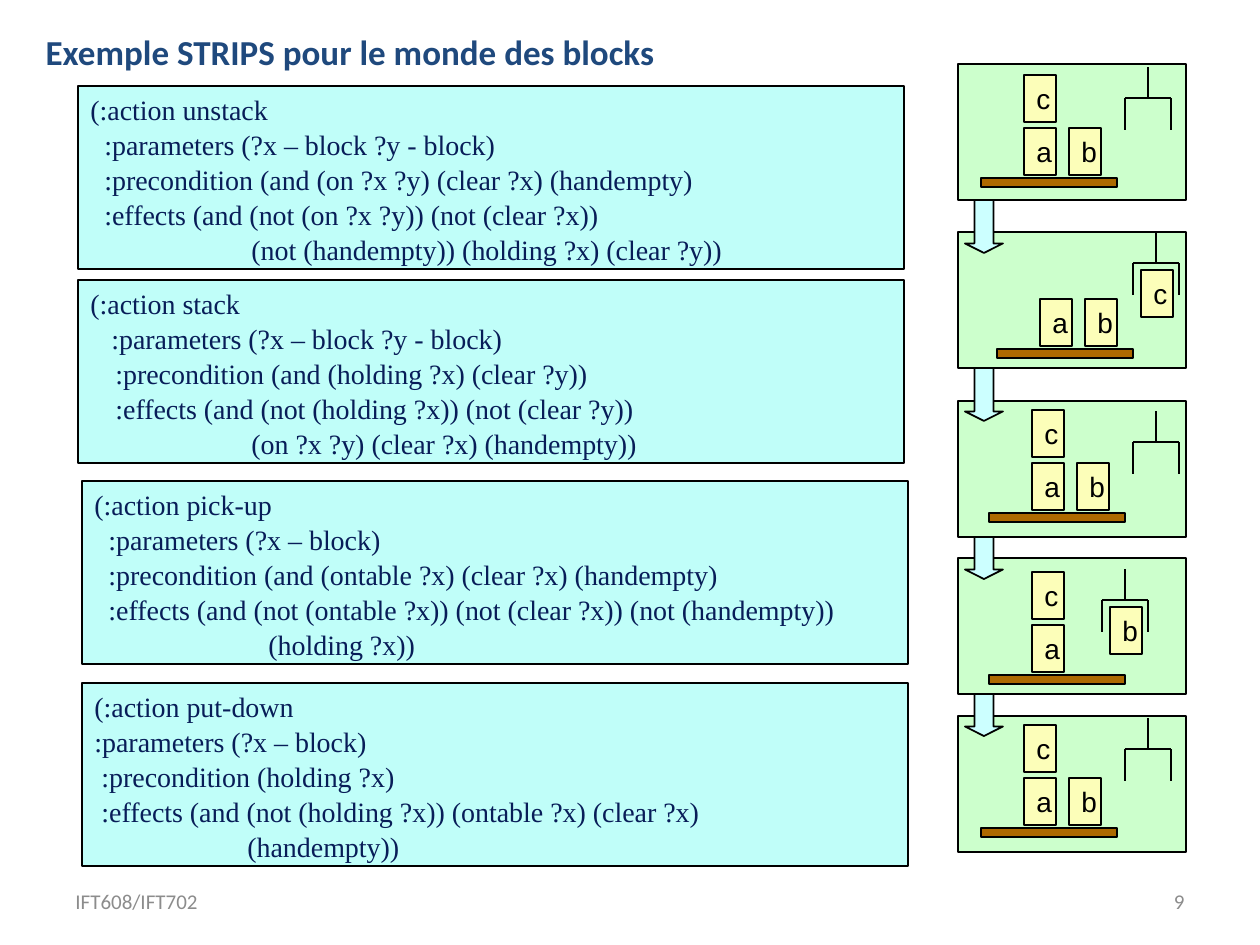
from lxml.etree import SubElement
from pptx import Presentation
from pptx.dml.color import RGBColor
from pptx.enum.shapes import MSO_CONNECTOR as Connector, MSO_SHAPE as Shape
from pptx.enum.text import MSO_ANCHOR as Anchor, PP_ALIGN as Align
from pptx.oxml.ns import qn
from pptx.util import Emu, Pt

PX = 914400 / 126

BLACK = RGBColor(0x00, 0x00, 0x00)
NAVY = RGBColor(0x08, 0x1D, 0x58)
TITLE_BLUE = RGBColor(0x1F, 0x49, 0x7D)
GREY = RGBColor(0x8C, 0x8C, 0x8C)
CYAN = RGBColor(0xC0, 0xFE, 0xF9)
ARROW_CYAN = RGBColor(0xCC, 0xFF, 0xFF)
GREEN = RGBColor(0xCC, 0xFF, 0xCC)
YELLOW = RGBColor(0xFC, 0xFE, 0xB9)
BROWN = RGBColor(0xAD, 0x69, 0x00)

# Left, top, then (indent, text) for each line
ACTIONS = [
    (78, 86, [
        (0, "(:action unstack"),
        (14, ":parameters (?x – block ?y - block)"),
        (14, ":precondition (and (on ?x ?y) (clear ?x) (handempty)"),
        (14, ":effects (and (not (on ?x ?y)) (not (clear ?x))"),
        (161, "(not (handempty)) (holding ?x) (clear ?y))")]),
    (78, 280, [
        (0, "(:action stack"),
        (21, ":parameters (?x – block ?y - block)"),
        (25, ":precondition (and (holding ?x) (clear ?y))"),
        (25, ":effects (and (not (holding ?x)) (not (clear ?y))"),
        (161, "(on ?x ?y) (clear ?x) (handempty))")]),
    (82, 481, [
        (0, "(:action pick-up"),
        (14, ":parameters (?x – block)"),
        (14, ":precondition (and (ontable ?x) (clear ?x) (handempty)"),
        (14, ":effects (and (not (ontable ?x)) (not (clear ?x)) (not (handempty))"),
        (174, "(holding ?x))")]),
    (82, 683, [
        (0, "(:action put-down"),
        (0, ":parameters (?x – block)"),
        (7, ":precondition (holding ?x)"),
        (7, ":effects (and (not (holding ?x)) (ontable ?x) (clear ?x)"),
        (153, "(handempty))")]),
]

PANEL_LEFT, PANEL_WIDTH, PANEL_HEIGHT = 958, 228, 136
# Panel top, table corner, claw corner, block held by the claw
SCENES = [
    (64, (981, 178), (1125, 67), None),
    (232, (997, 349), (1133, 232), "c"),
    (401, (989, 513), (1133, 411), None),
    (558, (989, 675), (1102, 569), "b"),
    (716, (981, 828), (1125, 718), None),
]
ARROW_HEIGHTS = [53, 53, 42, 42]
# Place of each resting block, measured from the table corner
RESTING = {"c": (43, -103), "a": (43, -50), "b": (88, -50)}


def px(*lengths):
    return [Emu(round(length * PX)) for length in lengths]


class SlideBuilder:
    """Holds the current slide and the style of its elements."""

    line_width = Pt(1)
    claw_width = Pt(1.5)

    def __init__(self, slide):
        self.slide = slide

    def add_span(self, para, text, font, size, color, bold=False):
        span = para.add_run()
        span.text = text
        span.font.name = font
        span.font.size = Pt(size)
        span.font.color.rgb = color
        span.font.bold = bold

    def title(self, text, *place):
        box = self.slide.shapes.title
        box.left, box.top, box.width, box.height = px(*place)
        box.text_frame.vertical_anchor = Anchor.MIDDLE
        para = box.text_frame.paragraphs[0]
        para.alignment = Align.LEFT
        self.add_span(para, text, "Calibri", 20, TITLE_BLUE, True)

    def footer(self, text, align, *place):
        frame = self.slide.shapes.add_textbox(*px(*place)).text_frame
        frame.word_wrap = True
        frame.vertical_anchor = Anchor.MIDDLE
        para = frame.paragraphs[0]
        para.alignment = align
        self.add_span(para, text, "Calibri", 12, GREY)

    def shape(self, kind, fill, *place):
        box = self.slide.shapes.add_shape(kind, *px(*place))
        box.shadow.inherit = False
        box.fill.solid()
        box.fill.fore_color.rgb = fill
        box.line.color.rgb = BLACK
        box.line.width = self.line_width
        return box

    def action(self, left, top, lines):
        frame = self.shape(Shape.RECTANGLE, CYAN, left, top, 826, 183).text_frame
        frame.word_wrap = True
        frame.vertical_anchor = Anchor.TOP
        for number, (indent, text) in enumerate(lines):
            para = frame.add_paragraph() if number else frame.paragraphs[0]
            para.alignment = Align.LEFT
            para.space_after = Pt(0.8)
            properties = para._p.get_or_add_pPr()
            properties.set("marL", str(px(indent)[0]))
            properties.set("indent", "0")
            self.add_span(para, text, "Times New Roman", 16, NAVY)

    def block(self, letter, left, top):
        frame = self.shape(Shape.RECTANGLE, YELLOW, left, top, 32, 47).text_frame
        frame.word_wrap = True
        frame.vertical_anchor = Anchor.TOP
        para = frame.paragraphs[0]
        para.alignment = Align.CENTER
        self.add_span(para, letter, "Arial", 16, BLACK)

    def line(self, *ends):
        line = self.slide.shapes.add_connector(Connector.STRAIGHT, *px(*ends))
        line.line.color.rgb = BLACK
        line.line.width = self.claw_width
        SubElement(line._element.spPr, qn("a:effectLst"))

    def claw(self, left, top):
        right, middle, bar, bottom = left + 46, left + 23, top + 31, top + 63
        self.line(left, bottom, left, bar)
        self.line(right, bottom, right, bar)
        self.line(left, bar, right, bar)
        self.line(middle, bar, middle, top)

    def scene(self, top, table, claw, held):
        self.shape(Shape.RECTANGLE, GREEN, PANEL_LEFT, top, PANEL_WIDTH, PANEL_HEIGHT)
        self.shape(Shape.RECTANGLE, BROWN, *table, 136, 9)
        for letter, (across, down) in RESTING.items():
            if letter != held:
                self.block(letter, table[0] + across, table[1] + down)
        self.claw(*claw)
        if held:
            self.block(held, claw[0] + 8, claw[1] + 38)

    def down_arrow(self, top, height):
        arrow = self.shape(Shape.DOWN_ARROW, ARROW_CYAN, 965, top, 38, height)
        arrow.adjustments[0] = 0.5
        arrow.adjustments[1] = 0.25


def main():
    deck = Presentation()
    deck.slide_width, deck.slide_height = px(1260, 945)
    page = SlideBuilder(deck.slides.add_slide(deck.slide_layouts[5]))

    page.title("Exemple STRIPS pour le monde des blocks", 33, 22, 1197, 59)
    for action in ACTIONS:
        page.action(*action)
    for scene in SCENES:
        page.scene(*scene)
    for (top, *_), height in zip(SCENES, ARROW_HEIGHTS):
        page.down_arrow(top + PANEL_HEIGHT, height)
    page.footer("IFT608/IFT702", Align.LEFT, 63, 876, 294, 50)
    page.footer("9", Align.RIGHT, 903, 876, 294, 50)
    deck.save("out.pptx")


if __name__ == "__main__":
    main()
